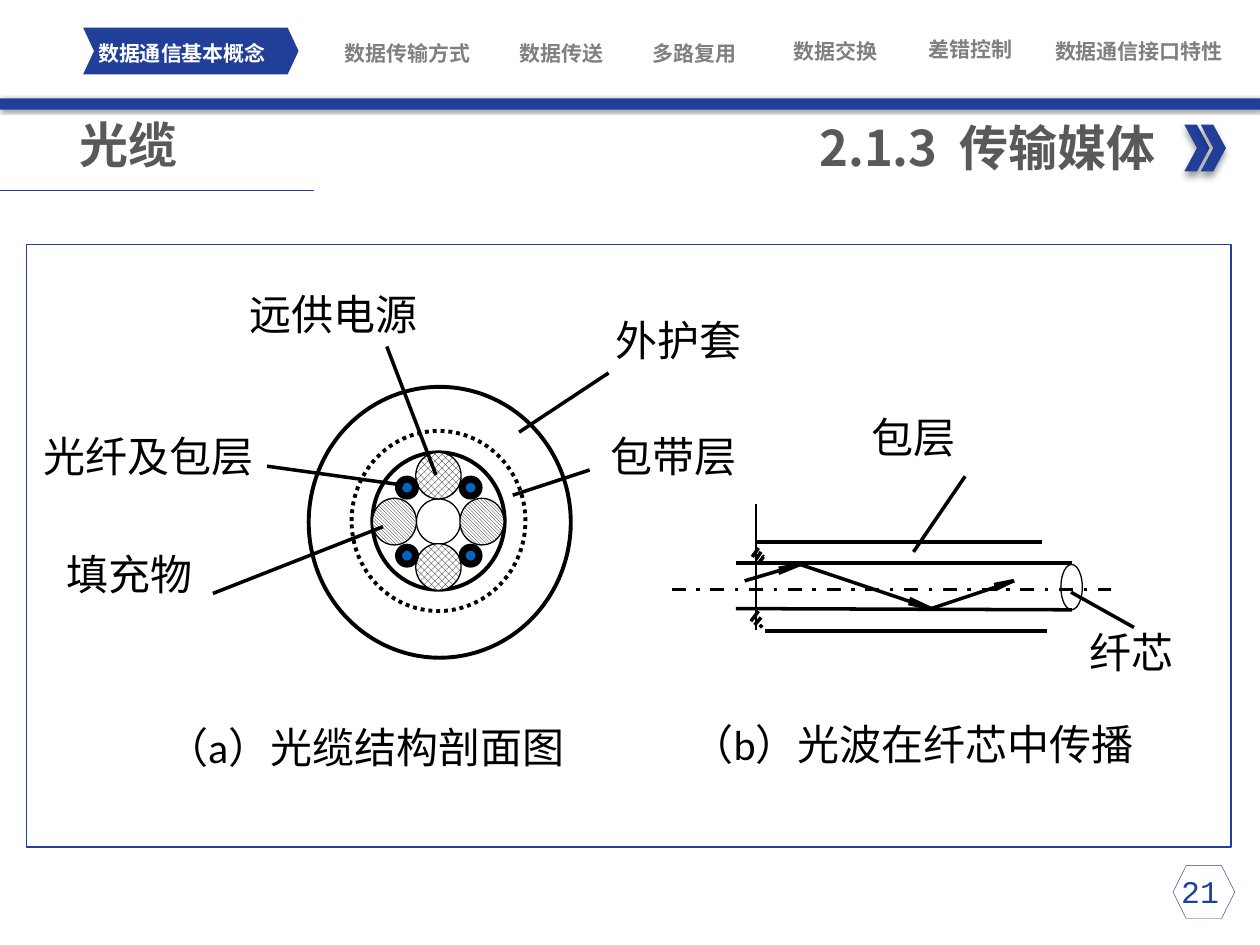
from math import cos, pi, sin
from typing import NamedTuple

from lxml import etree
from pptx import Presentation
from pptx.dml.color import RGBColor
from pptx.enum import dml, shapes, text
from pptx.oxml.ns import qn
from pptx.util import Inches, Pt

BLUE = RGBColor(0x21, 0x3F, 0x99)
CORE_BLUE = RGBColor(0x05, 0x63, 0xC1)
DARK_GRAY = RGBColor(0x59, 0x59, 0x59)
GRAY = RGBColor(0x80, 0x80, 0x80)
BLACK = RGBColor(0, 0, 0)
WHITE = RGBColor(255, 255, 255)
CJK = "Noto Sans CJK SC"
SHAPE, ALIGN, PATTERN = shapes.MSO_SHAPE, text.PP_ALIGN, dml.MSO_PATTERN

HEADING = {"name": CJK, "size": Pt(28), "bold": True}
NAV = {"name": "Roboto Condensed", "size": Pt(12), "bold": True}
LABEL = {"name": "Calibri", "size": Pt(24)}
PAGE = {"name": "Courier New", "size": Pt(18)}


class Box(NamedTuple):
    x: float
    y: float
    w: float
    h: float


class Label(NamedTuple):
    words: str
    box: Box


class Stroke(NamedTuple):
    x1: float
    y1: float
    x2: float
    y2: float


def inches(values) -> list:
    return [Inches(v) for v in values]


def write(tf, words: str, font: dict, color: RGBColor, align) -> None:
    p = tf.paragraphs[0]
    p.alignment = align
    r = p.add_run()
    r.text = words
    for key, value in font.items():
        setattr(r.font, key, value)
    r.font.color.rgb = color
    etree.SubElement(r._r.get_or_add_rPr(), qn("a:ea"), typeface=CJK)


def add_text(s, label: Label, font: dict, color: RGBColor, align,
             inset: bool = True, wrap: bool = True) -> None:
    tf = s.shapes.add_textbox(*inches(label.box)).text_frame
    tf.word_wrap = wrap
    if not inset:
        for side in ("left", "top", "right", "bottom"):
            setattr(tf, f"margin_{side}", 0)
        tf.vertical_anchor = text.MSO_ANCHOR.MIDDLE
    write(tf, label.words, font, color, align)


def outline(sp, color: RGBColor, width: float) -> None:
    sp.line.color.rgb = color
    sp.line.width = Pt(width)


def add_shape(parent, kind, box: Box, fill=None, line=None, width: float = 0,
              pattern=None):
    sp = parent.shapes.add_shape(kind, *inches(box))
    sp.shadow.inherit = False
    if pattern is not None:
        sp.fill.patterned()
        sp.fill.pattern = pattern
        sp.fill.fore_color.rgb = BLACK
        sp.fill.back_color.rgb = WHITE
    elif fill is not None:
        sp.fill.solid()
        sp.fill.fore_color.rgb = fill
    else:
        sp.fill.background()
    if line is None:
        sp.line.fill.background()
    else:
        outline(sp, line, width)
    return sp


def add_circle(s, cx: float, cy: float, w: float, h: float, **style):
    return add_shape(s, SHAPE.OVAL, Box(cx - w / 2, cy - h / 2, w, h), line=BLACK, **style)


def add_shadow(sp, blur: float, distance: float, angle: int) -> None:
    effects = sp._element.spPr.find(qn("a:effectLst"))
    shadow = etree.SubElement(effects, qn("a:outerShdw"), blurRad=str(Pt(blur)),
                              dist=str(Pt(distance)), dir=str(angle * 60000),
                              algn="t", rotWithShape="0")
    color = etree.SubElement(shadow, qn("a:srgbClr"), val="000000")
    etree.SubElement(color, qn("a:alpha"), val="40000")


def add_line(s, stroke: Stroke, color: RGBColor = BLACK, width: float = 0):
    c = s.shapes.add_connector(shapes.MSO_CONNECTOR.STRAIGHT, *inches(stroke))
    outline(c, color, width)
    etree.SubElement(c._element.spPr, qn("a:effectLst"))
    return c


def add_curve(s, points: list) -> None:
    builder = s.shapes.build_freeform(*points[0], scale=Inches(1))
    builder.add_line_segments(points[1:], close=False)
    sp = builder.convert_to_shape()
    sp.shadow.inherit = False
    sp.fill.background()
    outline(sp, BLACK, 0)


def draw_header(s) -> None:
    bar = add_shape(s, SHAPE.RECTANGLE, Box(0, 0.78, 10, 0.09), BLUE)
    add_shadow(bar, 2, 1, 45)
    group = s.shapes.add_group_shape()
    for x in (9.4, 9.53):
        add_shadow(add_shape(group, SHAPE.CHEVRON, Box(x, 0.99, 0.2, 0.37), BLUE), 4, 3, 90)
    tab = add_shape(s, SHAPE.CHEVRON, Box(0.66, 0.22, 1.71, 0.37), BLUE)
    tab.adjustments[0] = 0.234

    add_text(s, Label("数据通信基本概念", Box(0.72, 0.32, 1.45, 0.2)), NAV, WHITE,
             ALIGN.CENTER, inset=False)
    for words, x, y, w in (("数据传输方式", 2.51, 0.32, 1.45), ("数据传送", 3.73, 0.32, 1.45),
                           ("多路复用", 4.79, 0.32, 1.45), ("数据交换", 5.91, 0.31, 1.45),
                           ("差错控制", 6.98, 0.29, 1.45),
                           ("数据通信接口特性", 8.08, 0.31, 1.92)):
        add_text(s, Label(words, Box(x, y, w, 0.2)), NAV, GRAY, ALIGN.CENTER, inset=False)

    title = s.shapes.title
    title.left, title.top, title.width, title.height = inches((0.53, 0.86, 3.23, 0.57))
    title.text_frame.auto_size = text.MSO_AUTO_SIZE.NONE
    title.text_frame.vertical_anchor = text.MSO_ANCHOR.TOP
    write(title.text_frame, "光缆", HEADING, DARK_GRAY, ALIGN.LEFT)
    add_text(s, Label("2.1.3  传输媒体", Box(0.76, 0.88, 8.51, 0.57)), HEADING, DARK_GRAY,
             ALIGN.RIGHT)
    add_line(s, Stroke(0, 1.51, 2.49, 1.51), BLUE, 0.5)


def draw_cross_section(s) -> None:
    # Sheath, inner ring and dotted wrapping
    add_circle(s, 3.49, 4.145, 2.08, 2.15, width=2.25)
    add_circle(s, 3.48, 4.135, 1.05, 1.09, width=2.25)
    wrapping = add_circle(s, 3.48, 4.135, 1.38, 1.43, width=2.25)
    wrapping.line.dash_style = dml.MSO_LINE.ROUND_DOT
    # Centre, fillers and power conductors
    add_circle(s, 3.48, 4.14, 0.35, 0.36)
    for x in (3.13, 3.825):
        add_circle(s, x, 4.14, 0.35, 0.37, pattern=PATTERN.LIGHT_DOWNWARD_DIAGONAL)
    for y in (3.775, 4.5):
        add_circle(s, 3.48, y, 0.36, 0.37, pattern=PATTERN.OUTLINED_DIAMOND)
    # Fibres with cladding
    for x in (3.23, 3.735):
        for y in (3.87, 4.41):
            add_circle(s, x, y, 0.18, 0.18, fill=BLACK)
            add_circle(s, x, y, 0.09, 0.09, fill=CORE_BLUE)


def draw_fibre(s) -> None:
    # Edges of cladding and core, rays and their arrowheads, hatching of the break
    for stroke in (
        (6, 4.3, 8.27, 4.3), (5.84, 4.47, 8.51, 4.47),
        (5.84, 4.83, 8.51, 4.84), (6.07, 5.01, 8.31, 5.01),
        (5.91, 4.61, 6.35, 4.48), (6.35, 4.48, 7.39, 4.83), (7.39, 4.83, 8.05, 4.61),
        (6.18, 4.51, 6.35, 4.48), (6.18, 4.55, 6.35, 4.48),
        (7.22, 4.75, 7.39, 4.83), (7.21, 4.79, 7.39, 4.83),
        (7.89, 4.64, 8.04, 4.61), (7.9, 4.68, 8.04, 4.61),
        (6.02, 4.85, 5.96, 4.93), (6.04, 4.9, 5.99, 4.96), (6.05, 4.96, 6.03, 4.98),
        (6.02, 4.35, 5.97, 4.42), (6.04, 4.38, 6, 4.44), (6.06, 4.42, 6.02, 4.47),
        (6.06, 4.42, 6.05, 4.41),
    ):
        add_line(s, Stroke(*stroke))
    axis = add_line(s, Stroke(5.33, 4.68, 8.82, 4.68))
    axis.line.dash_style = dml.MSO_LINE.DASH_DOT
    # Rounded left end and open right end of the core
    angles = [pi / 2 + pi * i / 24 for i in range(25)]
    add_curve(s, [(5.84 + 0.07 * cos(a), 4.65 - 0.18 * sin(a)) for a in angles])
    add_circle(s, 8.505, 4.66, 0.17, 0.36)
    # Broken ends of the cladding
    for points in (
        [(6, 4.3), (6.03, 4.35), (6.04, 4.39), (6.07, 4.42), (6.07, 4.48)],
        [(6.01, 4.83), (6.04, 4.87), (6.04, 4.93), (6.07, 4.96), (6.08, 5.01)],
        [(5.99, 4.84), (5.97, 4.87), (5.96, 4.91), (5.97, 4.95), (6.01, 4.98),
         (6.05, 4.99), (6.07, 5.01)],
        [(6, 4.3), (6, 4.34), (5.96, 4.38), (5.97, 4.42), (6, 4.45), (6.02, 4.47),
         (6.04, 4.47)],
        [(8.28, 4.3), (8.28, 4.36), (8.3, 4.41), (8.33, 4.45), (8.35, 4.48)],
        [(8.31, 5.01), (8.35, 4.99), (8.36, 4.97), (8.36, 4.92), (8.39, 4.88),
         (8.39, 4.84)],
    ):
        add_curve(s, points)


def draw_labels(s) -> None:
    for leader in ((4.12, 3.43, 4.83, 2.96), (4.07, 3.93, 4.68, 3.73),
                   (3.07, 2.75, 3.46, 3.77), (2.12, 3.7, 3.2, 3.85),
                   (1.69, 4.71, 3.04, 4.18), (8.5, 4.7, 9, 4.98), (7.66, 3.78, 7.25, 4.38)):
        add_line(s, Stroke(*leader))
    add_text(s, Label("远供电源", Box(1.98, 2.29, 1.34, 0.4)), LABEL, BLACK, ALIGN.JUSTIFY,
             inset=False, wrap=False)
    for words, *box in (("光纤及包层", 0.25, 3.37, 2.24, 0.77), ("填充物", 0.43, 4.3, 1.38, 0.62),
                        ("外护套", 4.79, 2.45, 1.55, 0.62), ("包带层", 4.75, 3.37, 1.73, 0.62),
                        ("包层", 6.82, 3.22, 1.55, 0.62), ("纤芯", 8.55, 4.92, 1.21, 0.62),
                        ("（a）光缆结构剖面图", 1.22, 5.68, 3.7, 0.77),
                        ("（b）光波在纤芯中传播", 5.39, 5.65, 3.97, 0.77)):
        add_text(s, Label(words, Box(*box)), LABEL, BLACK, ALIGN.JUSTIFY)


def main() -> None:
    prs = Presentation()
    prs.slide_width, prs.slide_height = Inches(10), Inches(7.5)
    s = prs.slides.add_slide(prs.slide_layouts[5])
    # Frame and page number
    add_shape(s, SHAPE.RECTANGLE, Box(0.21, 1.94, 9.56, 4.78), WHITE, BLUE, 1)
    add_shape(s, SHAPE.HEXAGON, Box(9.31, 6.87, 0.49, 0.42), line=BLUE, width=0.25)
    add_text(s, Label("21", Box(9.09, 6.87, 0.87, 0.4)), PAGE, BLUE, ALIGN.CENTER)
    draw_header(s)
    draw_cross_section(s)
    draw_fibre(s)
    draw_labels(s)
    prs.save("out.pptx")


if __name__ == "__main__":
    main()
